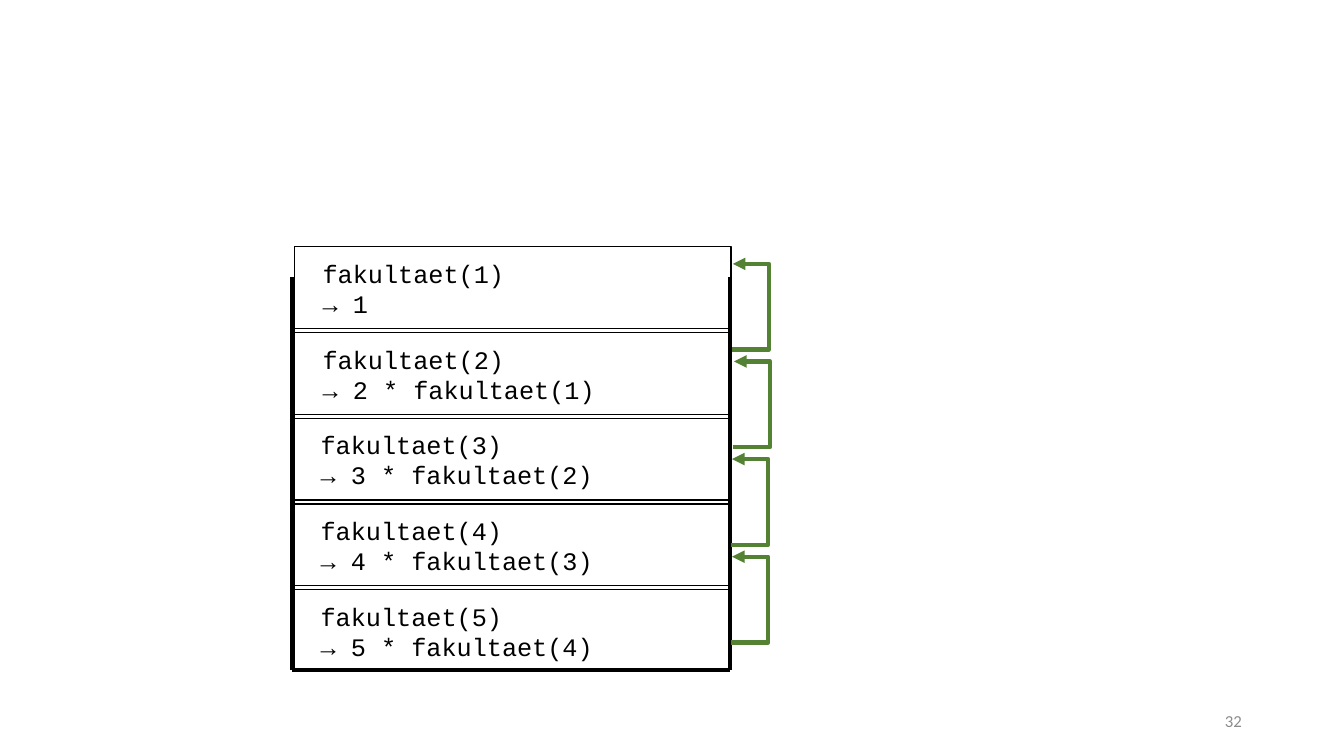
from lxml.etree import SubElement
from pptx import Presentation
from pptx.dml.color import RGBColor
from pptx.enum.shapes import MSO_CONNECTOR, MSO_SHAPE
from pptx.enum.text import MSO_ANCHOR, PP_ALIGN
from pptx.oxml.ns import qn
from pptx.util import Cm, Pt

COLORS = {"black": "000000", "green": "548235", "gray": "8C8C8C"}


class StackSlide:
    code_font = "Courier New"
    number_font = "Calibri"

    def __init__(self, prs):
        self.s = prs.slides.add_slide(prs.slide_layouts[6])

    def color(self, name):
        return RGBColor.from_string(COLORS[name])

    def text(self, x, y, w, h, lines, font, size, color,
             align=PP_ALIGN.LEFT, anchor=MSO_ANCHOR.TOP, wrap=False):
        tf = self.s.shapes.add_textbox(Cm(x), Cm(y), Cm(w), Cm(h)).text_frame
        tf.word_wrap = wrap
        tf.vertical_anchor = anchor
        for i, line in enumerate(lines):
            p = tf.add_paragraph() if i else tf.paragraphs[0]
            p.alignment = align
            r = p.add_run()
            r.text = line
            r.font.name = font
            r.font.size = Pt(size)
            r.font.color.rgb = self.color(color)

    def frame(self, x, y, w, h):
        sp = self.s.shapes.add_shape(MSO_SHAPE.RECTANGLE, Cm(x), Cm(y), Cm(w), Cm(h))
        sp.shadow.inherit = False
        sp.fill.background()
        sp.line.color.rgb = self.color("black")
        sp.line.width = Pt(1)

    def line(self, x1, y1, x2, y2, color="black", kind=MSO_CONNECTOR.STRAIGHT):
        cn = self.s.shapes.add_connector(kind, Cm(x1), Cm(y1), Cm(x2), Cm(y2))
        cn.line.color.rgb = self.color(color)
        cn.line.width = Pt(3)
        SubElement(cn._element.spPr, qn("a:effectLst"))
        return cn

    def return_arrow(self, x, y, rise, reach):
        step = 0.03
        cn = self.line(x, y, x + step, y - rise, "green", MSO_CONNECTOR.ELBOW)
        spPr = cn._element.spPr
        guides = spPr.find(qn("a:prstGeom")).get_or_add_avLst()
        SubElement(guides, qn("a:gd"), name="adj1",
                   fmla=f"val {round(reach / step * 100000)}")
        SubElement(spPr.find(qn("a:ln")), qn("a:tailEnd"), type="triangle")


def main():
    prs = Presentation()
    prs.slide_width, prs.slide_height = Cm(33.87), Cm(19.05)
    slide = StackSlide(prs)

    slide.text(23.93, 17.65, 7.62, 1.02, ["32"], slide.number_font, 12, "gray",
               PP_ALIGN.RIGHT, MSO_ANCHOR.MIDDLE, True)

    left, right, top, bottom = 7.37, 18.39, 6.99, 16.89
    for ends in ((left, top, left, bottom), (right, top, right, bottom),
                 (left, bottom, right, bottom)):
        slide.line(*ends)

    for n in range(1, 6):
        x = 7.42 if n < 3 else left
        y = 6.22 + 2.16 * (n - 1)
        result = f"→ {n} * fakultaet({n - 1})" if n > 1 else "→ 1"
        slide.frame(x, y, 11, 2.06)
        slide.text(x + 0.46, y + 0.16, 7.65 if n > 1 else 5.11, 1.8,
                   [f"fakultaet({n})", result], slide.code_font, 18, "black")

    for i, x in enumerate((18.44, 18.47, 18.42, 18.42)):
        slide.return_arrow(x, 8.81 + 2.46 * i, 2.16, 0.94)

    prs.save("out.pptx")


if __name__ == "__main__":
    main()
